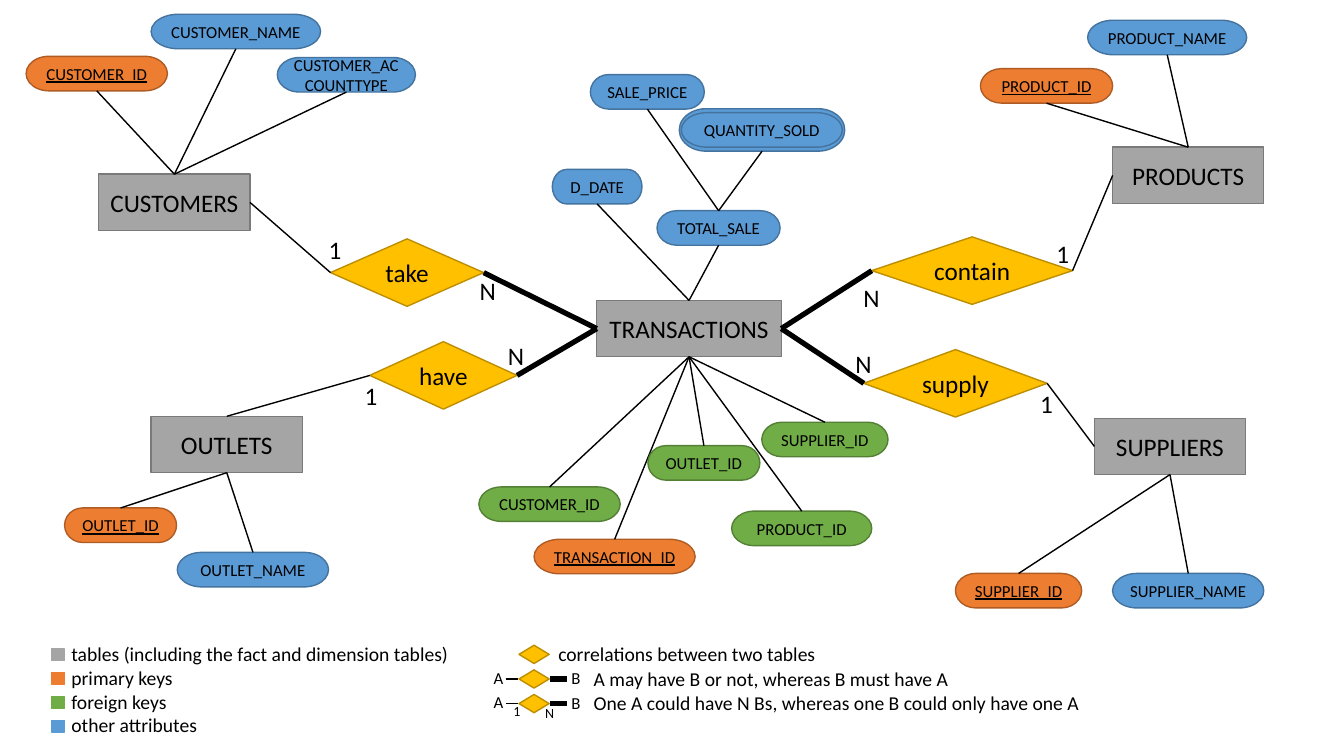
import pptx
import pptx.util
import pptx.dml.color
import pptx.enum.shapes
import pptx.enum.text
import pptx.oxml.ns
from lxml import etree

COLORS = {
    "text": "000000",
    "table": "A5A5A5", "table_edge": "7A7A7A",
    "primary": "ED7D31", "primary_edge": "AF5C24",
    "foreign": "70AD47", "foreign_edge": "538035",
    "other": "5B9BD5", "other_edge": "43739E",
    "relation": "FFC000", "relation_edge": "BD8E00",
}
FONT = "Calibri"
TOP, LEFT, BOTTOM, RIGHT = range(4)
TABLE_HEIGHT, ATTRIBUTE_HEIGHT, RELATION_HEIGHT = 1.42, 0.87, 1.7
THIN, THICK = 1, 3.75

TABLES = [
    ("CUSTOMERS", 2.49, 4.39, 3.81),
    ("OUTLETS", 3.81, 10.49, 3.81),
    ("PRODUCTS", 28.04, 3.71, 3.81),
    ("SUPPLIERS", 27.58, 10.54, 3.81),
    ("TRANSACTIONS", 15.04, 7.57, 4.65),
]
ATTRIBUTES = [
    ("CUSTOMER_ID", "primary", 0.66, 1.42, 3.56, "CUSTOMERS"),
    ("CUSTOMER_NAME", "other", 3.81, 0.36, 4.27, "CUSTOMERS"),
    ("CUSTOMER_ACCOUNTTYPE", "other", 6.99, 1.45, 3.48, "CUSTOMERS"),
    ("OUTLET_ID", "primary", 1.63, 12.8, 2.82, "OUTLETS"),
    ("OUTLET_NAME", "other", 4.47, 13.92, 3.81, "OUTLETS"),
    ("SUPPLIER_NAME", "other", 28.04, 14.45, 3.81, "SUPPLIERS"),
    ("SUPPLIER_ID", "primary", 24.08, 14.45, 3.18, "SUPPLIERS"),
    ("PRODUCT_ID", "primary", 24.71, 1.73, 3.33, "PRODUCTS"),
    ("PRODUCT_NAME", "other", 27.41, 0.51, 4.01, "PRODUCTS"),
    ("TRANSACTION_ID", "primary", 13.46, 13.59, 4.06, "TRANSACTIONS"),
    ("PRODUCT_ID", "foreign", 18.44, 12.88, 3.53, "TRANSACTIONS"),
    ("CUSTOMER_ID", "foreign", 12.07, 12.27, 3.56, "TRANSACTIONS"),
    ("OUTLET_ID", "foreign", 16.33, 11.23, 2.82, "TRANSACTIONS"),
    ("SUPPLIER_ID", "foreign", 19.2, 10.64, 3.18, "TRANSACTIONS"),
    ("D_DATE", "other", 13.92, 4.27, 2.26, "TRANSACTIONS"),
    ("TOTAL_SALE", "other", 16.56, 5.31, 3.1, "TRANSACTIONS"),
    ("QUANTITY_SOLD", "other", 17.17, 2.84, 4.06, "TOTAL_SALE"),
    ("SALE_PRICE", "other", 14.88, 1.88, 2.87, "TOTAL_SALE"),
]
MULTIVALUED_RINGS = {"QUANTITY_SOLD": (17.12, 2.74, 4.17, 1.07)}
RELATIONS = [
    ("have", 9.32, 8.61, 3.71, LEFT, "OUTLETS", TOP, (8.94, 9.45), (12.55, 8.46)),
    ("take", 8.33, 6.02, 3.86, LEFT, "CUSTOMERS", RIGHT, (8.03, 5.79), (11.84, 6.81)),
    ("contain", 21.97, 5.97, 5.06, RIGHT, "PRODUCTS", LEFT, (26.37, 5.87), (21.51, 6.99)),
    ("supply", 21.77, 8.81, 4.62, RIGHT, "SUPPLIERS", LEFT, (25.96, 9.65), (21.31, 8.66)),
]
COLOR_LEGEND = [
    ("table", "tables (including the fact and dimension tables)", 10.11),
    ("primary", "primary keys", 3.1),
    ("foreign", "foreign keys", 2.95),
    ("other", "other attributes", 3.73),
]
RELATION_LEGEND = [
    ("correlations between two tables", 13.82, 7.06),
    ("A may have B or not, whereas B must have A", 14.71, 9.53),
    ("One A could have N Bs, whereas one B could only have one A", 14.71, 12.75),
]
LEGEND_TOP, COLOR_STEP, RELATION_STEP = 16.05, 0.6, 0.62

Cm = pptx.util.Cm
SHAPES = pptx.enum.shapes.MSO_SHAPE
presentation = pptx.Presentation()
presentation.slide_width, presentation.slide_height = Cm(33.87), Cm(19.05)
slide = presentation.slides.add_slide(presentation.slide_layouts[6])


def rgb(name):
    return pptx.dml.color.RGBColor.from_string(COLORS[name])


def write(shape, text, size, underline=False):
    shape.text_frame.text = text
    for run in shape.text_frame.paragraphs[0].runs:
        run.font.name = FONT
        run.font.size = pptx.util.Pt(size)
        run.font.color.rgb = rgb("text")
        if underline:
            run.font.underline = True


def add_box(preset, color, edge, left, top, width, height, text="", size=18, underline=False):
    shape = slide.shapes.add_shape(preset, Cm(left), Cm(top), Cm(width), Cm(height))
    shape.shadow.inherit = False
    shape.fill.solid()
    shape.fill.fore_color.rgb = rgb(color)
    shape.line.color.rgb = rgb(edge)
    shape.line.width = pptx.util.Pt(1)
    if text:
        write(shape, text, size, underline)
        shape.text_frame.vertical_anchor = pptx.enum.text.MSO_ANCHOR.MIDDLE
        shape.text_frame.paragraphs[0].alignment = pptx.enum.text.PP_ALIGN.CENTER
    return shape


def add_label(text, left, top, width, height, size, wrap=False):
    label = slide.shapes.add_textbox(Cm(left), Cm(top), Cm(width), Cm(height))
    label.text_frame.word_wrap = wrap
    write(label, text, size)


def add_line(weight, start=(0, 0), end=(0, 0)):
    connector = slide.shapes.add_connector(
        pptx.enum.shapes.MSO_CONNECTOR.STRAIGHT, *[Cm(value) for value in (*start, *end)])
    connector.line.color.rgb = rgb("text")
    connector.line.width = pptx.util.Pt(weight)
    etree.SubElement(connector.element.spPr, pptx.oxml.ns.qn("a:effectLst"))
    return connector


def connect(first, first_side, second, second_side, weight=THIN):
    connector = add_line(weight)
    connector.begin_connect(first, first_side)
    connector.end_connect(second, second_side)


def draw_diagram():
    owners = {}
    for name, left, top, width in TABLES:
        owners[name] = add_box(SHAPES.RECTANGLE, "table", "table_edge",
                               left, top, width, TABLE_HEIGHT, name)

    for name, kind, left, top, width, owner in ATTRIBUTES:
        style = (SHAPES.FLOWCHART_TERMINATOR, kind, kind + "_edge")
        ring = None
        if name in MULTIVALUED_RINGS:
            ring = add_box(*style, *MULTIVALUED_RINGS[name])
        attribute = add_box(*style, left, top, width, ATTRIBUTE_HEIGHT, name, 12, kind == "primary")
        sides = (BOTTOM, TOP) if attribute.top < owners[owner].top else (TOP, BOTTOM)
        connect(ring or attribute, sides[0], owners[owner], sides[1])
        if name == "TOTAL_SALE":
            owners[name] = attribute

    for name, left, top, width, outer, table, table_side, one, many in RELATIONS:
        relation = add_box(SHAPES.FLOWCHART_DECISION, "relation", "relation_edge",
                           left, top, width, RELATION_HEIGHT, name)
        inner = RIGHT if outer == LEFT else LEFT
        connect(relation, outer, owners[table], table_side)
        connect(relation, inner, owners["TRANSACTIONS"], outer, THICK)
        add_label("1", *one, 0.84, 1.02, 18)
        add_label("N", *many, 0.91, 1.02, 18)


def draw_legend():
    for row, (kind, text, width) in enumerate(COLOR_LEGEND):
        top = LEGEND_TOP + row * COLOR_STEP
        add_box(SHAPES.RECTANGLE, kind, kind, 1.3, top + 0.3, 0.33, 0.3)
        add_label(text, 1.55, top, width, 0.86, 14)

    for row, (text, left, width) in enumerate(RELATION_LEGEND):
        top = LEGEND_TOP + row * RELATION_STEP
        if row:
            middle = top + 0.44
            add_line(THICK, (13.87, middle), (14.3, middle))
            add_line(THIN, (12.75, middle), (13.06, middle))
            add_label("A", 12.19, top + 0.02, 0.76, 0.76, 12)
            add_label("B", 14.15, top + 0.04, 0.74, 0.76, 12)
        add_box(SHAPES.FLOWCHART_DECISION, "relation", "relation_edge", 13.08, top + 0.21, 0.76, 0.46)
        add_label(text, left, top, width, 0.86, 14, row == 2)
    add_label("1", 12.73, 17.58, 0.46, 0.69, 10)
    add_label("N", 13.49, 17.63, 0.74, 0.69, 10)


if __name__ == "__main__":
    draw_diagram()
    draw_legend()
    presentation.save("out.pptx")
